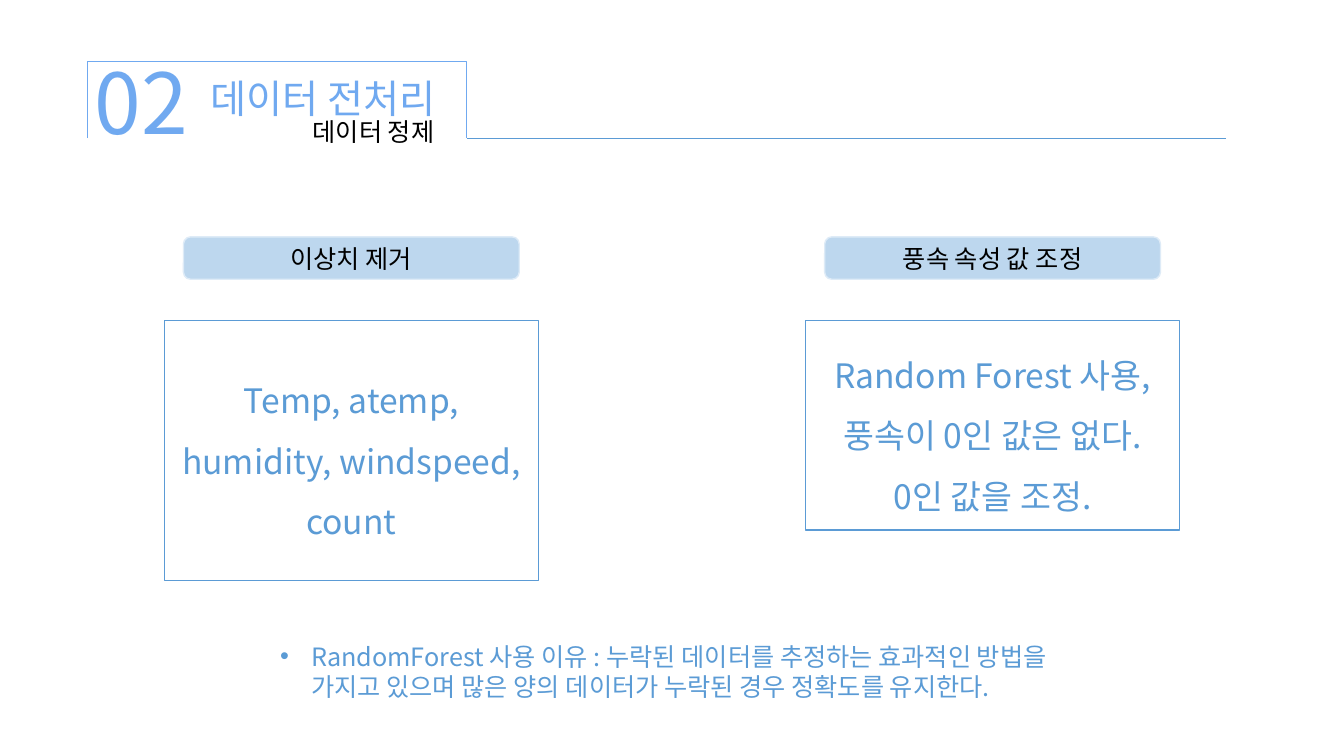
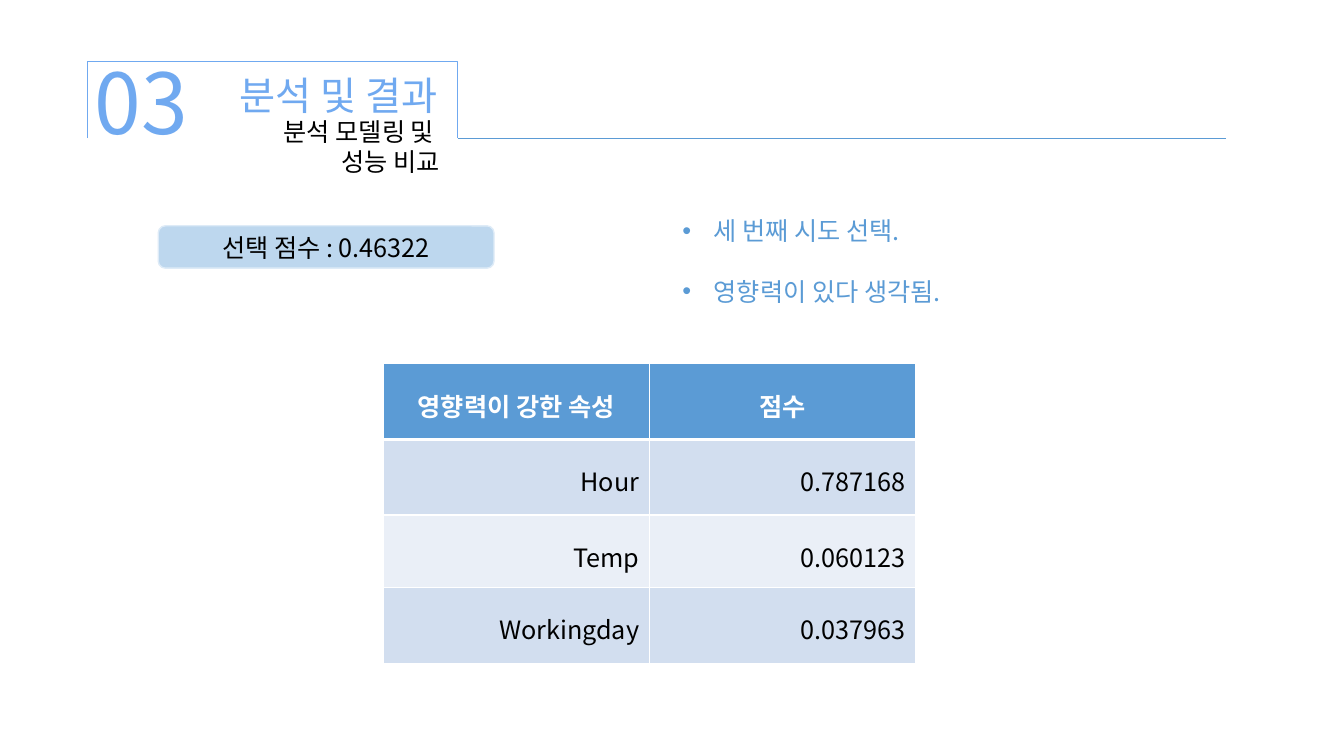
from dataclasses import dataclass

from lxml.etree import SubElement
from pptx import Presentation
from pptx.dml.color import RGBColor
from pptx.enum.shapes import MSO_CONNECTOR, MSO_SHAPE
from pptx.enum.text import MSO_ANCHOR, MSO_AUTO_SIZE, PP_ALIGN
from pptx.oxml.ns import qn
from pptx.util import Inches, Pt


@dataclass(frozen=True)
class Theme:
    """Colours, font and type sizes shared by the slides."""
    font: str = "Noto Sans CJK KR"
    accent: str = "5B9BD5"
    heading: str = "70A9F0"
    pill: str = "BDD7EE"
    pill_line: str = "DEEBF7"
    bands: tuple = ("D2DEEF", "EAEFF7")
    black: str = "000000"
    white: str = "FFFFFF"
    number_size: int = 60
    title_size: int = 28
    box_size: int = 24
    body_size: int = 18
    line_pitch: float = 1.2


class Deck:
    """Holds the style and the current slide."""

    def __init__(self, theme):
        """Open an empty wide presentation."""
        self.theme = theme
        self.prs = Presentation()
        self.prs.slide_width = Inches(13.33)
        self.prs.slide_height = Inches(7.5)
        self.s = None

    def fill_text(self, tf, lines, size, color, align=PP_ALIGN.LEFT, spacing=1, bold=False):
        """Fill a text frame with one formatted paragraph per line."""
        for i, line in enumerate(lines):
            p = tf.paragraphs[0] if i == 0 else tf.add_paragraph()
            p.alignment = align
            p.line_spacing = Pt(round(size * self.theme.line_pitch * spacing, 1))
            r = p.add_run()
            r.text = line
            r.font.name = self.theme.font
            r.font.size = Pt(size)
            r.font.bold = bold
            r.font.color.rgb = RGBColor.from_string(color)
            SubElement(r._r.get_or_add_rPr(), qn("a:ea"), typeface=self.theme.font)

    def shape(self, kind, x, y, w, h, line, weight=1, fill=None):
        """Add a flat preset shape."""
        sp = self.s.shapes.add_shape(kind, Inches(x), Inches(y), Inches(w), Inches(h))
        sp.shadow.inherit = False
        if fill:
            sp.fill.solid()
            sp.fill.fore_color.rgb = RGBColor.from_string(fill)
        else:
            sp.fill.background()
        sp.line.color.rgb = RGBColor.from_string(line)
        sp.line.width = Pt(weight)
        sp.text_frame.word_wrap = True
        sp.text_frame.vertical_anchor = MSO_ANCHOR.MIDDLE
        return sp

    def text(self, x, y, w, h, lines, size, color, align=PP_ALIGN.LEFT):
        """Add a wrapping text box and return its frame."""
        tf = self.s.shapes.add_textbox(Inches(x), Inches(y), Inches(w), Inches(h)).text_frame
        tf.word_wrap = True
        self.fill_text(tf, lines, size, color, align)
        return tf

    def title(self, x, y, w, title):
        """Place and format the title placeholder."""
        sp = self.s.shapes.title
        sp.left, sp.top, sp.width, sp.height = Inches(x), Inches(y), Inches(w), Inches(0.57)
        tf = sp.text_frame
        tf.word_wrap = False
        tf.auto_size = MSO_AUTO_SIZE.NONE
        tf.vertical_anchor = MSO_ANCHOR.TOP
        self.fill_text(tf, [title], self.theme.title_size, self.theme.heading, PP_ALIGN.CENTER)

    def rule(self, x1, x2, y):
        """Draw a thin horizontal line."""
        c = self.s.shapes.add_connector(
            MSO_CONNECTOR.STRAIGHT, Inches(x1), Inches(y), Inches(x2), Inches(y))
        c.line.color.rgb = RGBColor.from_string(self.theme.accent)
        c.line.width = Pt(0.5)
        SubElement(c._element.spPr, qn("a:effectLst"))

    def section(self, number, title, title_at, bracket_w):
        """Start a slide with its numbered bracket, title and rule."""
        self.s = self.prs.slides.add_slide(self.prs.slide_layouts[5])
        x, y, h = 0.87, 0.61, 0.76
        sp = self.shape(MSO_SHAPE.RIGHT_BRACKET, x + (bracket_w - h) / 2,
                        y + (h - bracket_w) / 2, h, bracket_w, self.theme.heading, 0.5)
        sp.adjustments[0] = 0
        sp.rotation = 270
        self.rule(x + bracket_w, 12.16, y + h)
        self.title(*title_at, title)
        self.text(0.84, 0.45, 1.3, 1.1, [number], self.theme.number_size, self.theme.heading)

    def subtitle(self, x, w, h, lines, align):
        """Add the black line under the title."""
        self.text(x, 1.1, w, h, lines, self.theme.body_size, self.theme.black, align)

    def pill(self, x, y, label):
        """Add a rounded label."""
        sp = self.shape(MSO_SHAPE.ROUNDED_RECTANGLE, x, y, 3.33, 0.42,
                        self.theme.pill_line, fill=self.theme.pill)
        self.fill_text(sp.text_frame, [label], self.theme.body_size, self.theme.black,
                       PP_ALIGN.CENTER)

    def box(self, x, y, h, lines):
        """Add an outlined box with large centred text."""
        sp = self.shape(MSO_SHAPE.RECTANGLE, x, y, 3.71, h, self.theme.accent)
        self.fill_text(sp.text_frame, lines, self.theme.box_size, self.theme.accent,
                       PP_ALIGN.CENTER, 1.5)

    def bullets(self, x, y, w, h, lines):
        """Add a bulleted list with wide gaps between the items."""
        tf = self.text(x, y, w, h, lines, self.theme.body_size, self.theme.accent)
        for i, p in enumerate(tf.paragraphs):
            if i:
                p.line_spacing = Pt(self.theme.body_size * self.theme.line_pitch * 2)
            pPr = p._p.get_or_add_pPr()
            pPr.set("marL", str(Inches(0.31)))
            pPr.set("indent", str(-Inches(0.31)))
            SubElement(pPr, qn("a:buFont"), typeface="Arial")
            SubElement(pPr, qn("a:buChar"), char="•")

    def borders(self, cell, bottom):
        """Draw white borders around a cell, ahead of its fill."""
        tcPr = cell._tc.get_or_add_tcPr()
        for tag, weight in (("a:lnL", 1), ("a:lnR", 1), ("a:lnT", 1), ("a:lnB", bottom)):
            ln = SubElement(tcPr, qn(tag), w=str(Pt(weight)))
            SubElement(SubElement(ln, qn("a:solidFill")), qn("a:srgbClr"), val=self.theme.white)

    def table(self, x, y, col_w, heights, rows):
        """Add a banded table with a header row."""
        t = self.theme
        tbl = self.s.shapes.add_table(
            len(rows), len(rows[0]), Inches(x), Inches(y),
            Inches(col_w * len(rows[0])), Inches(sum(heights))).table
        for col in tbl.columns:
            col.width = Inches(col_w)
        for i, row in enumerate(rows):
            tbl.rows[i].height = Inches(heights[i])
            head = i == 0
            for j, value in enumerate(row):
                cell = tbl.cell(i, j)
                self.borders(cell, 3 if head else 1)
                cell.fill.solid()
                cell.fill.fore_color.rgb = RGBColor.from_string(
                    t.accent if head else t.bands[(i - 1) % 2])
                self.fill_text(cell.text_frame, [value], t.body_size,
                               t.white if head else t.black,
                               PP_ALIGN.CENTER if head else PP_ALIGN.RIGHT, 1.8, head)


def main():
    """Build and save the two slides."""
    d = Deck(Theme())

    d.section("02", "데이터 전처리", (1.92, 0.69, 2.57), 3.76)
    d.subtitle(2.4, 2.61, 0.4, ["데이터 정제"], PP_ALIGN.CENTER)
    columns = (
        (1.63, "이상치 제거", 2.58, ["Temp, atemp, humidity, windspeed, count"]),
        (7.99, "풍속 속성 값 조정", 2.08,
         ["Random Forest 사용,", "풍속이 0인 값은 없다.", "0인 값을 조정."]),
    )
    for x, label, h, lines in columns:
        d.pill(x + 0.19, 2.35, label)
        d.box(x, 3.18, h, lines)
    d.bullets(2.68, 6.31, 7.97, 1, [
        "RandomForest 사용 이유 : 누락된 데이터를 추정하는 효과적인 방법을 가지고 있으며 "
        "많은 양의 데이터가 누락된 경우 정확도를 유지한다."])

    d.section("03", "분석 및 결과", (2.22, 0.66, 2.27), 3.67)
    d.subtitle(1.54, 2.92, 0.71, ["분석 모델링 및 ", "성능 비교"], PP_ALIGN.RIGHT)
    d.pill(1.57, 2.24, "선택 점수 : 0.46322")
    d.bullets(6.67, 2.09, 4.36, 0.92, ["세 번째 시도 선택.", "영향력이 있다 생각됨."])
    d.table(3.8, 3.61, 2.64, (0.75, 0.75, 0.72, 0.75), (
        ("영향력이 강한 속성", "점수"),
        ("Hour", "0.787168"),
        ("Temp", "0.060123"),
        ("Workingday", "0.037963"),
    ))

    d.prs.save("out.pptx")


if __name__ == "__main__":
    main()
